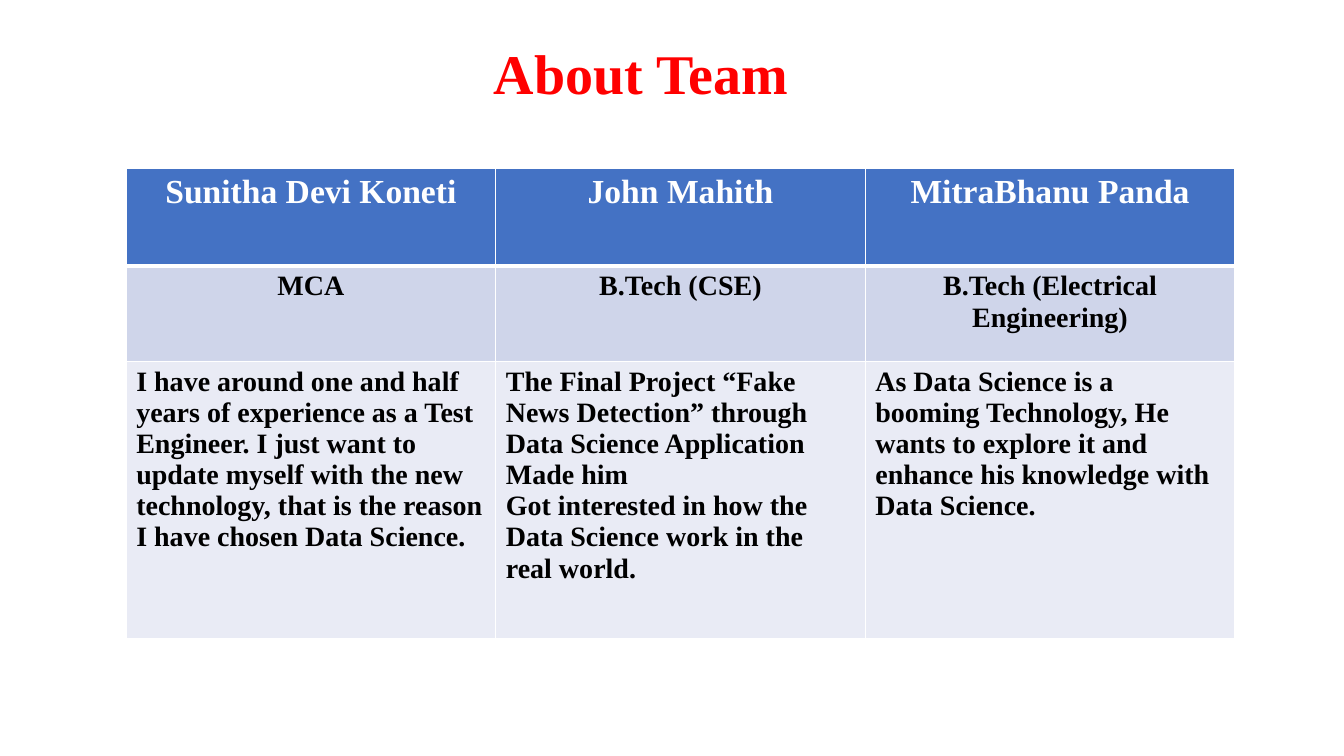
from lxml.etree import SubElement
from pptx import Presentation
from pptx.dml.color import RGBColor
from pptx.enum.text import MSO_AUTO_SIZE as AutoSize, PP_ALIGN as Align
from pptx.oxml.ns import qn
from pptx.util import Cm, Pt

TEAM = [
    ("Sunitha Devi Koneti", "MCA", [
        "I have around one and half years of experience as a Test Engineer. "
        "I just want to update myself with the new technology, "
        "that is the reason I have chosen Data Science."]),
    ("John Mahith", "B.Tech (CSE)", [
        "The Final Project “Fake News Detection” through Data Science Application Made him",
        "Got interested in how the Data Science work in the real world."]),
    ("MitraBhanu Panda", "B.Tech (Electrical Engineering)", [
        "As Data Science is a booming Technology, He wants to explore it "
        "and enhance his knowledge with Data Science."]),
]


def color(value):
    return RGBColor.from_string(value)


class TeamSlide:
    font = "Times New Roman"
    red, white, black = "FF0000", "FFFFFF", "000000"
    row_heights = (2.46, 2.41, 6.99)
    row_fills = ("4472C4", "CFD5EA", "E9EBF5")
    row_sizes = (24, 20, 20)
    row_colors = (white, black, black)
    row_aligns = (Align.CENTER, Align.CENTER, Align.LEFT)

    def __init__(self, presentation):
        self.slide = presentation.slides.add_slide(presentation.slide_layouts[6])

    def add_text(self, frame, lines, size, ink, align, spacing=None):
        for index, line in enumerate(lines):
            paragraph = frame.add_paragraph() if index else frame.paragraphs[0]
            paragraph.alignment = align
            paragraph.line_spacing = spacing
            run = paragraph.add_run()
            run.text = line
            run.font.name = self.font
            run.font.size = Pt(size)
            run.font.bold = True
            run.font.color.rgb = color(ink)

    def title(self, text, left, top, width, height):
        box = self.slide.shapes.add_textbox(Cm(left), Cm(top), Cm(width), Cm(height))
        frame = box.text_frame
        frame.word_wrap = True
        frame.auto_size = AutoSize.SHAPE_TO_FIT_TEXT
        self.add_text(frame, [text], 40, self.red, Align.CENTER, 0.8)

    def borders(self, cell, widths):
        properties = cell._tc.get_or_add_tcPr()
        for side, width in widths.items():
            line = SubElement(properties, qn(f"a:ln{side}"), w=str(Pt(width)))
            fill = SubElement(line, qn("a:solidFill"))
            SubElement(fill, qn("a:srgbClr"), val=self.white)

    def cell(self, cell, row, lines):
        self.borders(cell, {"L": 1, "R": 1, "T": 3 if row == 1 else 1, "B": 3 if row == 0 else 1})
        cell.fill.solid()
        cell.fill.fore_color.rgb = color(self.row_fills[row])
        self.add_text(cell.text_frame, lines, self.row_sizes[row],
                      self.row_colors[row], self.row_aligns[row])

    def table(self, members, left, top, width):
        rows = len(self.row_heights)
        frame = self.slide.shapes.add_table(rows, len(members), Cm(left), Cm(top),
                                            Cm(width), Cm(sum(self.row_heights)))
        table = frame.table
        for row, height in enumerate(self.row_heights):
            table.rows[row].height = Cm(height)
        for column, (name, degree, story) in enumerate(members):
            table.columns[column].width = Cm(width / len(members))
            for row, lines in enumerate(([name], [degree], story)):
                self.cell(table.cell(row, column), row, lines)


def main():
    presentation = Presentation()
    presentation.slide_width = Cm(33.87)
    presentation.slide_height = Cm(19.05)
    team_slide = TeamSlide(presentation)
    team_slide.title("About Team", 1.19, 1.17, 29.92, 1.63)
    team_slide.table(TEAM, 3.18, 4.24, 27.94)
    presentation.save("out.pptx")


if __name__ == "__main__":
    main()
